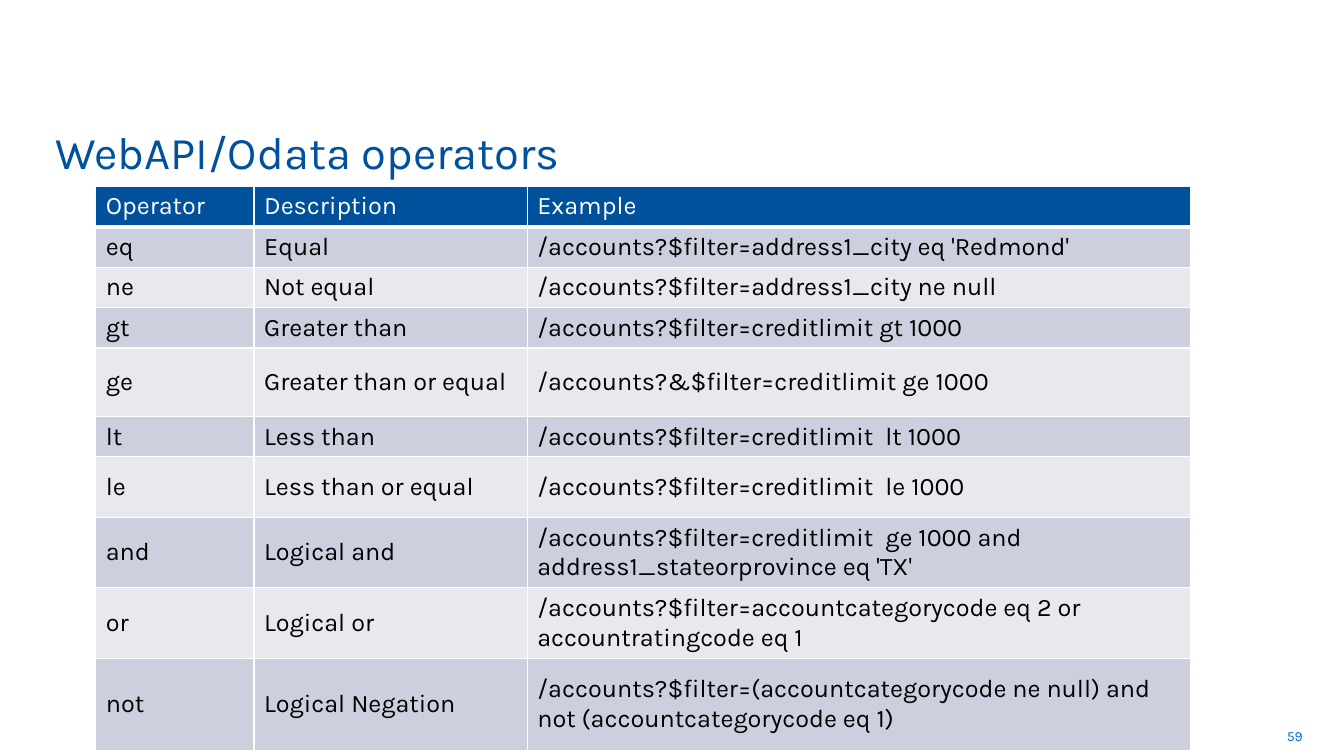
from lxml import etree
from pptx import Presentation
from pptx.dml.color import RGBColor
from pptx.enum import text as t
from pptx.oxml import ns
from pptx.util import Inches, Pt

FONT = "Karla"
BLUE, WHITE, BLACK = "00519C", "FFFFFF", "000000"
BANDS = ["CCD0DE", "E7E9EF"]
PATH = "/accounts?$filter="
HEAD = ("Operator", "Description", "Example")
ROWS = [
    ("eq", "Equal", PATH + "address1_city eq 'Redmond'"),
    ("ne", "Not equal", PATH + "address1_city ne null"),
    ("gt", "Greater than", PATH + "creditlimit gt 1000"),
    ("ge", "Greater than or equal", "/accounts?&$filter=creditlimit ge 1000"),
    ("lt", "Less than", PATH + "creditlimit  lt 1000"),
    ("le", "Less than or equal", PATH + "creditlimit  le 1000"),
    ("and", "Logical and", PATH + "creditlimit  ge 1000 and address1_stateorprovince eq 'TX'"),
    ("or", "Logical or", PATH + "accountcategorycode eq 2 or accountratingcode eq 1"),
    ("not", "Logical Negation", PATH + "(accountcategorycode ne null) and not (accountcategorycode eq 1)"),
]
WIDTHS = [1.57, 2.71, 6.58]
HEIGHTS = [0.33, 0.39, 0.39, 0.39, 0.68, 0.39, 0.6, 0.61, 0.63, 0.91]


def color(code):
    return RGBColor.from_string(code)


def write(frame, words, size, code, align=t.PP_ALIGN.LEFT):
    frame.text = words
    para = frame.paragraphs[0]
    para.alignment = align
    font = para.runs[0].font
    font.name, font.size = FONT, Pt(size)
    font.color.rgb = color(code)


def label(box, words, size, code, anchor, align=t.PP_ALIGN.LEFT):
    frame = slide.shapes.add_textbox(*map(Inches, box)).text_frame
    frame.word_wrap = True
    frame.vertical_anchor = anchor
    write(frame, words, size, code, align)


def border(cell, low):
    props = cell._tc.get_or_add_tcPr()
    for spot, (side, wide) in enumerate([("L", 1), ("R", 1), ("T", 1), ("B", low)]):
        line = etree.Element(ns.qn("a:ln" + side), w=str(Pt(wide)))
        fill = etree.SubElement(line, ns.qn("a:solidFill"))
        etree.SubElement(fill, ns.qn("a:srgbClr"), val=WHITE)
        props.insert(spot, line)


deck = Presentation()
deck.slide_width, deck.slide_height = Inches(13.33), Inches(7.5)
slide = deck.slides.add_slide(deck.slide_layouts[6])

label((9.91, 7.1, 3.11, 0.4), "59", 10, "0070C0", t.MSO_ANCHOR.MIDDLE, t.PP_ALIGN.RIGHT)
label((0.45, 1.13, 9.98, 0.69), "WebAPI/Odata operators", 32.4, BLUE, t.MSO_ANCHOR.BOTTOM)

grid = slide.shapes.add_table(
    len(HEIGHTS), len(WIDTHS), Inches(0.95), Inches(1.85),
    Inches(sum(WIDTHS)), Inches(sum(HEIGHTS))).table
for col, wide in zip(grid.columns, WIDTHS):
    col.width = Inches(wide)
for r, (row, high, words) in enumerate(zip(grid.rows, HEIGHTS, [HEAD] + ROWS)):
    row.height = Inches(high)
    for cell, word in zip(row.cells, words):
        write(cell.text_frame, word, 18, BLACK if r else WHITE)
        cell.vertical_anchor = t.MSO_ANCHOR.MIDDLE if r else t.MSO_ANCHOR.TOP
        cell.fill.solid()
        cell.fill.fore_color.rgb = color(BANDS[(r - 1) % 2] if r else BLUE)
        border(cell, 1 if r else 3)

deck.save("out.pptx")
